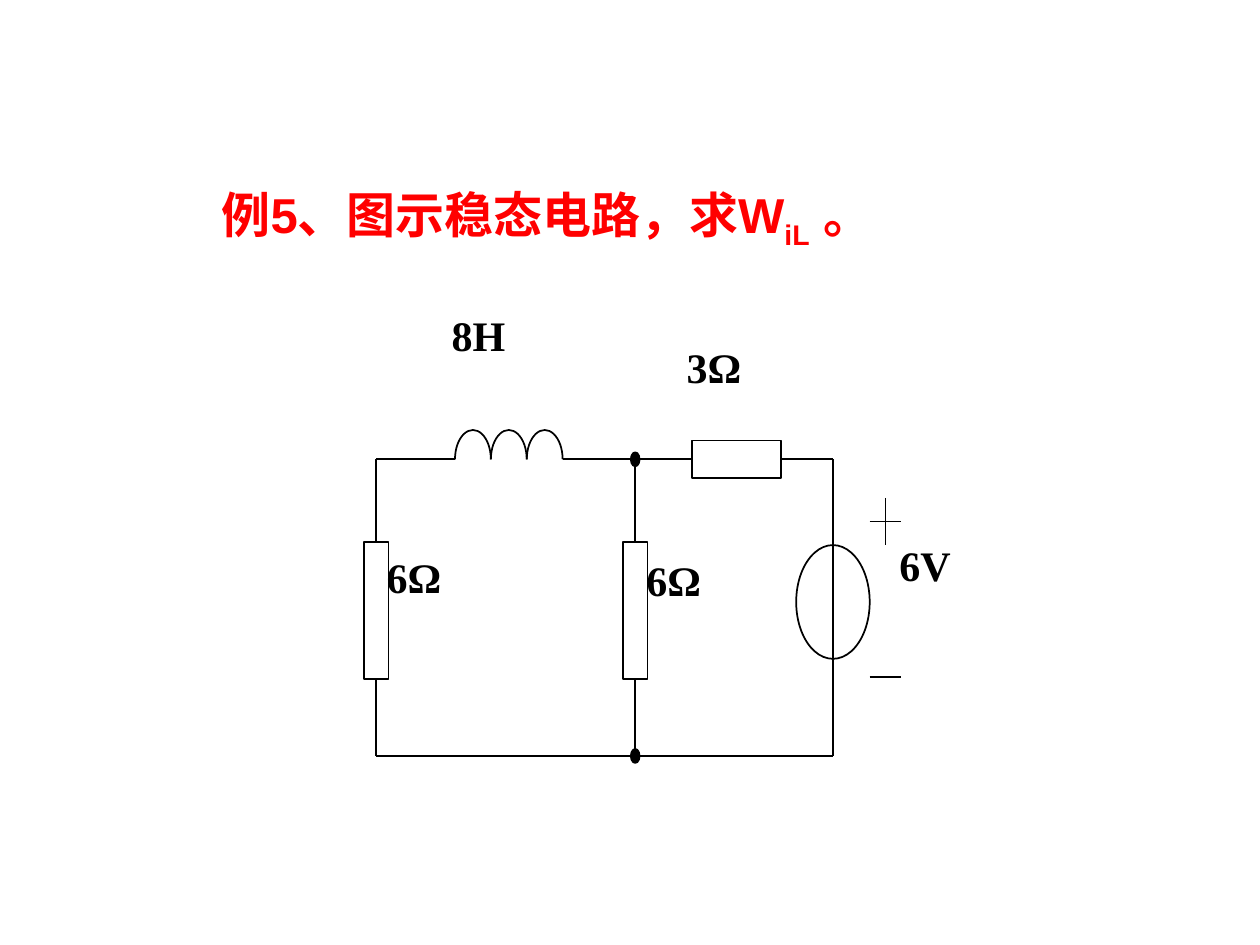
from lxml.etree import SubElement
from pptx import Presentation
from pptx.dml.color import RGBColor
from pptx.enum.shapes import MSO_CONNECTOR, MSO_SHAPE
from pptx.enum.text import MSO_ANCHOR, MSO_AUTO_SIZE, PP_ALIGN
from pptx.oxml.ns import qn
from pptx.util import Pt

TITLE = [("例5、图示稳态电路，求W", 0), ("iL", -25000), (" 。", 0)]
LABELS = [
    ("8H", 251, 173.5, 78, 78),
    ("3Ω", 385.2, 191.5, 84, 69),
    ("6Ω", 213.8, 311.8, 84, 69),
    ("6Ω", 362.2, 313.2, 84, 69),
    ("6V", 506.9, 304.6, 70, 78),
]
BLACK, RED = "000000", "FF0000"
LEFT, MID, RIGHT = 215, 363, 476
TOP, BOTTOM = 262.5, 432
COIL_X, COIL_W, COIL_H, COIL_TURNS = 260, 20.5, 33.6, 3
SIGN_X, PLUS_Y, MINUS_Y = 506, 298, 387


def color(value):
    """Turn a hex string into a colour."""
    return RGBColor.from_string(value)


def style(run, font, size, value):
    """Format one bold run."""
    run.font.name, run.font.size, run.font.bold = font, Pt(size), True
    run.font.color.rgb = color(value)


def outline(kind, cx, cy, w, h, fill=None):
    """Add a black-lined shape centred on a point."""
    s = slide.shapes.add_shape(kind, Pt(cx - w / 2), Pt(cy - h / 2), Pt(w), Pt(h))
    s.shadow.inherit = False
    s.line.color.rgb, s.line.width = color(BLACK), Pt(1)
    if fill:
        s.fill.solid()
        s.fill.fore_color.rgb = color(fill)
    else:
        s.fill.background()
    return s


def wire(x1, y1, x2, y2, begin=None, end=None):
    """Add a straight wire, joined to (shape, side) pairs where given."""
    c = slide.shapes.add_connector(MSO_CONNECTOR.STRAIGHT, Pt(x1), Pt(y1), Pt(x2), Pt(y2))
    c.line.color.rgb, c.line.width = color(BLACK), Pt(1)
    SubElement(c._element.spPr, qn("a:effectLst"))
    if begin:
        c.begin_connect(*begin)
    if end:
        c.end_connect(*end)


def label(text, x, y, w, h):
    """Add a component value."""
    tf = slide.shapes.add_textbox(Pt(x), Pt(y), Pt(w), Pt(h)).text_frame
    tf.word_wrap = True
    p = tf.paragraphs[0]
    p.alignment = PP_ALIGN.JUSTIFY
    r = p.add_run()
    r.text = text
    style(r, "Times New Roman", 24, BLACK)


prs = Presentation()
prs.slide_width, prs.slide_height = Pt(720), Pt(540)
slide = prs.slides.add_slide(prs.slide_layouts[5])

title = slide.shapes.title
title.left, title.top, title.width, title.height = Pt(119.5), Pt(86.4), Pt(643.7), Pt(61.2)
tf = title.text_frame
tf.word_wrap, tf.auto_size, tf.vertical_anchor = True, MSO_AUTO_SIZE.NONE, MSO_ANCHOR.TOP
p = tf.paragraphs[0]
p.alignment, p.line_spacing, p.space_before = PP_ALIGN.LEFT, 1.4, Pt(0)
for text, baseline in TITLE:
    r = p.add_run()
    r.text = text
    style(r, "Arial", 28, RED)
    if baseline:
        r._r.get_or_add_rPr().set("baseline", str(baseline))

for x in (LEFT, MID):
    resistor = outline(MSO_SHAPE.RECTANGLE, x, 349, 14, 78.5)
    wire(x, TOP, x, 309.75, end=(resistor, 0))
    wire(x, 388.25, x, BOTTOM, begin=(resistor, 2))

resistor = outline(MSO_SHAPE.RECTANGLE, 421, TOP, 51, 21.6)
wire(MID, TOP, 395.5, TOP, end=(resistor, 1))
wire(446.5, TOP, RIGHT, TOP, begin=(resistor, 3))

for i in range(COIL_TURNS):
    turn = outline(MSO_SHAPE.ARC, COIL_X + (i + 0.5) * COIL_W, TOP, COIL_W, COIL_H)
    turn.adjustments[0], turn.adjustments[1] = 108, 0
wire(LEFT, TOP, COIL_X, TOP)
wire(COIL_X + COIL_TURNS * COIL_W, TOP, MID, TOP)

outline(MSO_SHAPE.OVAL, RIGHT, 344, 42, 65)
wire(RIGHT, TOP, RIGHT, BOTTOM)
wire(LEFT, BOTTOM, RIGHT, BOTTOM)
for y in (TOP, BOTTOM):
    outline(MSO_SHAPE.FLOWCHART_CONNECTOR, MID, y, 5, 8, BLACK)

for y in (PLUS_Y, MINUS_Y):
    wire(SIGN_X - 9, y, SIGN_X + 9, y)
wire(SIGN_X, PLUS_Y - 13.5, SIGN_X, PLUS_Y + 13.5)

for item in LABELS:
    label(*item)

prs.save("out.pptx")
